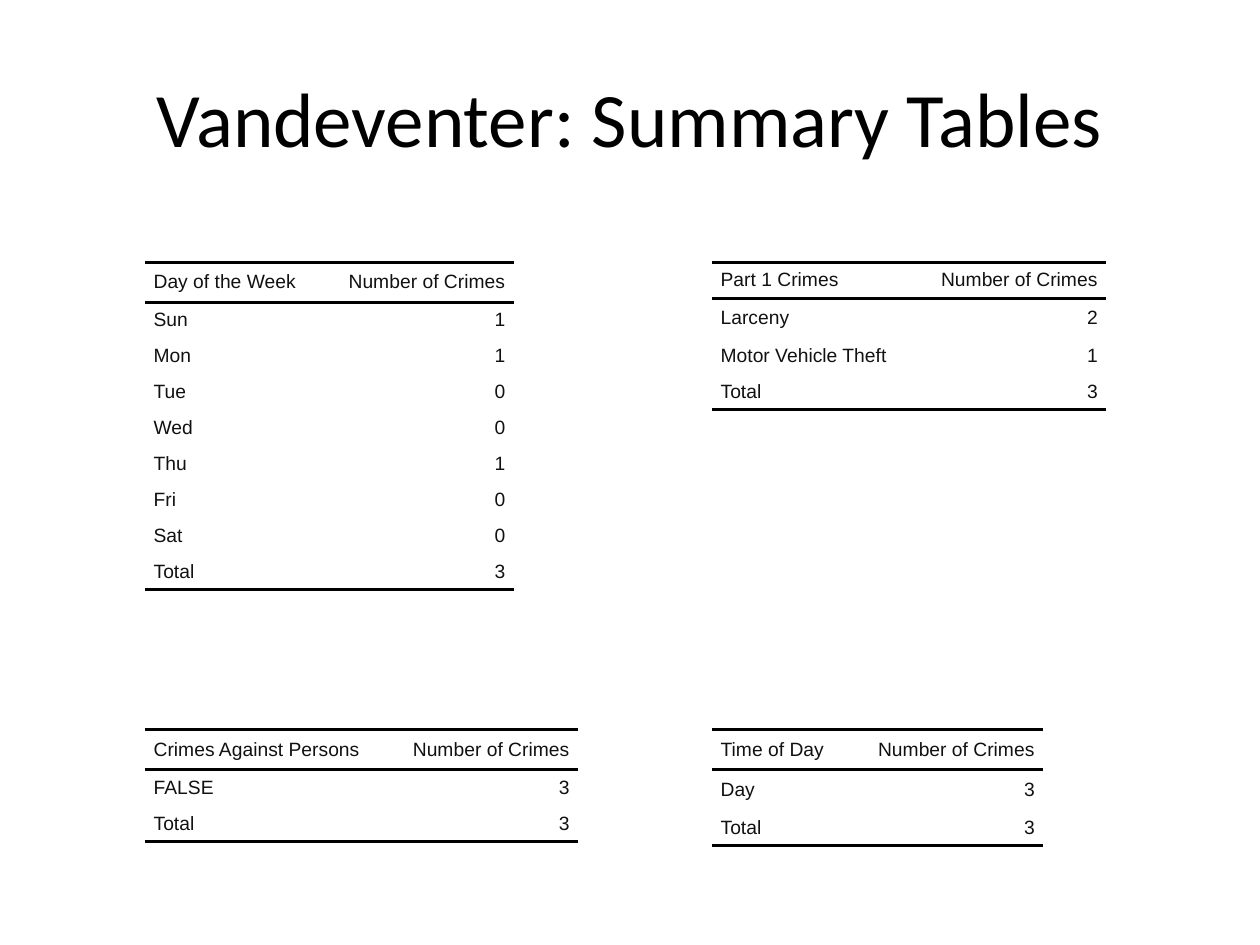
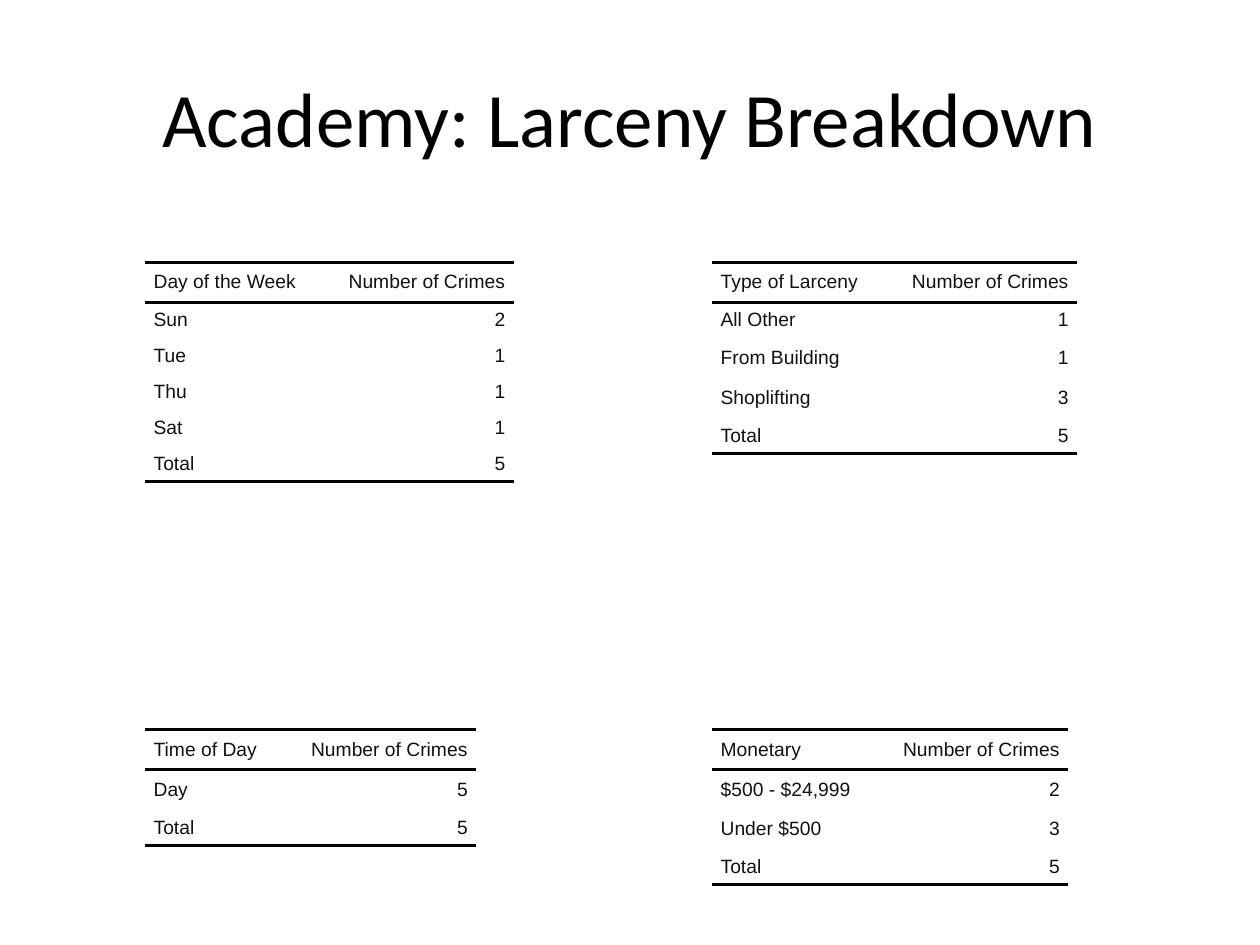
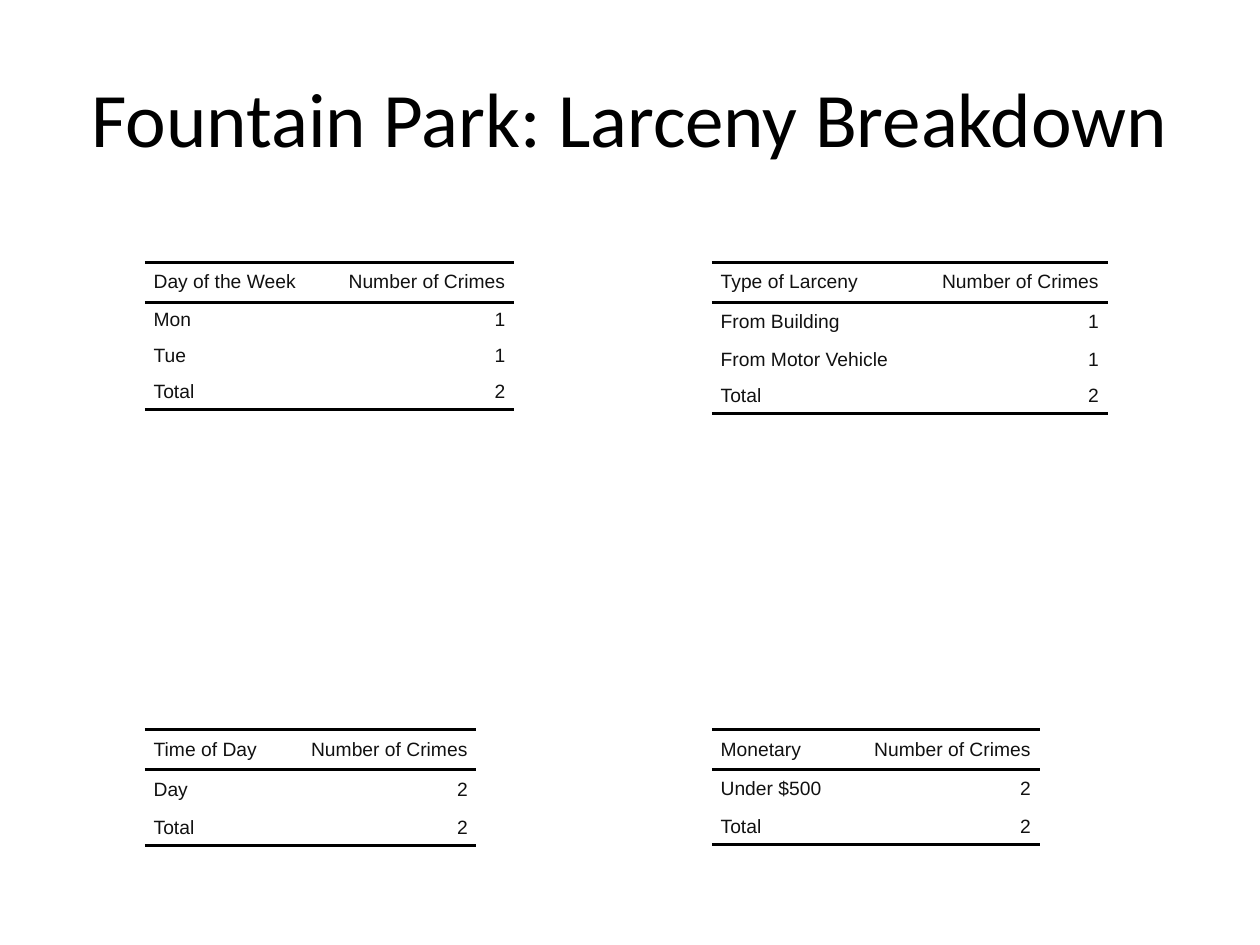
from lxml.etree import SubElement
from pptx import Presentation
from pptx.dml.color import RGBColor
from pptx.enum.text import MSO_ANCHOR, PP_ALIGN
from pptx.oxml.ns import qn
from pptx.util import Pt

COLORS = {"title": "000000", "rule": "000000", "cell": "111111"}
TITLE_FONT, TABLE_FONT = "Calibri", "Arial"
NO_GRID_STYLE = "{2D5ABB26-0587-4C30-8999-92F81FD0307C}"

SLIDE_WIDTH, SLIDE_HEIGHT = 720, 540
TITLE_BOX = (36, 21.6, 648, 90)
LEFT, RIGHT, UPPER, LOWER = 82.8, 406.8, 149.76, 416.88
COUNT_WIDTH = 109.5
CELL_PADDING = 5
RULE_WIDTH = 2
SHORT, MEDIUM, TALL = 20.57, 22.3, 22.86  # row heights

# Each table: corner, label column width, heading, heading height,
# then rows of label, count and height; the total row is worked out.
SLIDES = [
    ("Vandeventer: Summary Tables", [
        ((LEFT, UPPER), 101.5, "Day of the Week", TALL,
         [("Sun", 1, SHORT), ("Mon", 1, SHORT), ("Tue", 0, SHORT), ("Wed", 0, SHORT),
          ("Thu", 1, SHORT), ("Fri", 0, SHORT), ("Sat", 0, SHORT)]),
        ((RIGHT, UPPER), 116, "Part 1 Crimes", SHORT,
         [("Larceny", 2, TALL), ("Motor Vehicle Theft", 1, SHORT)]),
        ((LEFT, LOWER), 138.2, "Crimes Against Persons", TALL, [("FALSE", 3, SHORT)]),
        ((RIGHT, LOWER), 80, "Time of Day", TALL, [("Day", 3, TALL)]),
    ]),
    ("Academy: Larceny Breakdown", [
        ((LEFT, UPPER), 101.5, "Day of the Week", TALL,
         [("Sun", 2, SHORT), ("Tue", 1, SHORT), ("Thu", 1, SHORT), ("Sat", 1, SHORT)]),
        ((RIGHT, UPPER), 99.4, "Type of Larceny", TALL,
         [("All Other", 1, SHORT), ("From Building", 1, TALL), ("Shoplifting", 3, TALL)]),
        ((LEFT, LOWER), 80, "Time of Day", TALL, [("Day", 5, TALL)]),
        ((RIGHT, LOWER), 94.3, "Monetary", TALL,
         [("$500 - $24,999", 2, TALL), ("Under $500", 3, MEDIUM)]),
    ]),
    ("Fountain Park: Larceny Breakdown", [
        ((LEFT, UPPER), 101.5, "Day of the Week", TALL,
         [("Mon", 1, SHORT), ("Tue", 1, SHORT)]),
        ((RIGHT, UPPER), 116.6, "Type of Larceny", TALL,
         [("From Building", 1, TALL), ("From Motor Vehicle", 1, SHORT)]),
        ((LEFT, LOWER), 80, "Time of Day", TALL, [("Day", 2, TALL)]),
        ((RIGHT, LOWER), 77.8, "Monetary", TALL, [("Under $500", 2, MEDIUM)]),
    ]),
]


def style_paragraph(paragraph, font_name, size, color, alignment):
    paragraph.alignment = alignment
    paragraph.font.name = font_name
    paragraph.font.size = Pt(size)
    paragraph.font.color.rgb = RGBColor.from_string(COLORS[color])


def add_title(slide, text, box):
    frame = slide.shapes.add_textbox(*map(Pt, box)).text_frame
    frame.word_wrap = True
    frame.vertical_anchor = MSO_ANCHOR.MIDDLE
    frame.text = text
    style_paragraph(frame.paragraphs[0], TITLE_FONT, 44, "title", PP_ALIGN.CENTER)


def add_rule(cell, edge):
    line = SubElement(cell._tc.get_or_add_tcPr(), qn(f"a:{edge}"), w=str(Pt(RULE_WIDTH)))
    fill = SubElement(line, qn("a:solidFill"))
    SubElement(fill, qn("a:srgbClr"), val=COLORS["rule"])


def fill_cell(cell, text, alignment, edges):
    cell.text = text
    cell.vertical_anchor = MSO_ANCHOR.MIDDLE
    cell.margin_left = cell.margin_right = Pt(CELL_PADDING)
    cell.margin_top = cell.margin_bottom = 0
    # Borders come before the fill in the cell properties
    for edge in edges:
        add_rule(cell, edge)
    cell.fill.background()
    style_paragraph(cell.text_frame.paragraphs[0], TABLE_FONT, 11, "cell", alignment)


def add_count_table(slide, corner, label_width, heading, heading_height, counts):
    total = sum(count for _, count, _ in counts)
    rows = [(heading, "Number of Crimes", heading_height), *counts, ("Total", total, SHORT)]
    widths = (label_width, COUNT_WIDTH)
    height = sum(row_height for _, _, row_height in rows)
    table = slide.shapes.add_table(
        len(rows), len(widths), *map(Pt, (*corner, sum(widths), height))).table

    # Plain table without banding or grid
    table.first_row = table.horz_banding = False
    table._tbl.tblPr.find(qn("a:tableStyleId")).text = NO_GRID_STYLE
    for column, width in zip(table.columns, widths):
        column.width = Pt(width)

    # Rules around the heading and under the total
    borders = {0: ("lnT", "lnB"), len(rows) - 1: ("lnB",)}
    for index, (label, count, row_height) in enumerate(rows):
        table.rows[index].height = Pt(row_height)
        edges = borders.get(index, ())
        fill_cell(table.cell(index, 0), label, PP_ALIGN.LEFT, edges)
        fill_cell(table.cell(index, 1), str(count), PP_ALIGN.RIGHT, edges)


def add_summary_slide(presentation, title, tables):
    slide = presentation.slides.add_slide(presentation.slide_layouts[6])
    add_title(slide, title, TITLE_BOX)
    for table in tables:
        add_count_table(slide, *table)


def main():
    presentation = Presentation()
    presentation.slide_width = Pt(SLIDE_WIDTH)
    presentation.slide_height = Pt(SLIDE_HEIGHT)
    for title, tables in SLIDES:
        add_summary_slide(presentation, title, tables)
    presentation.save("out.pptx")


if __name__ == "__main__":
    main()
